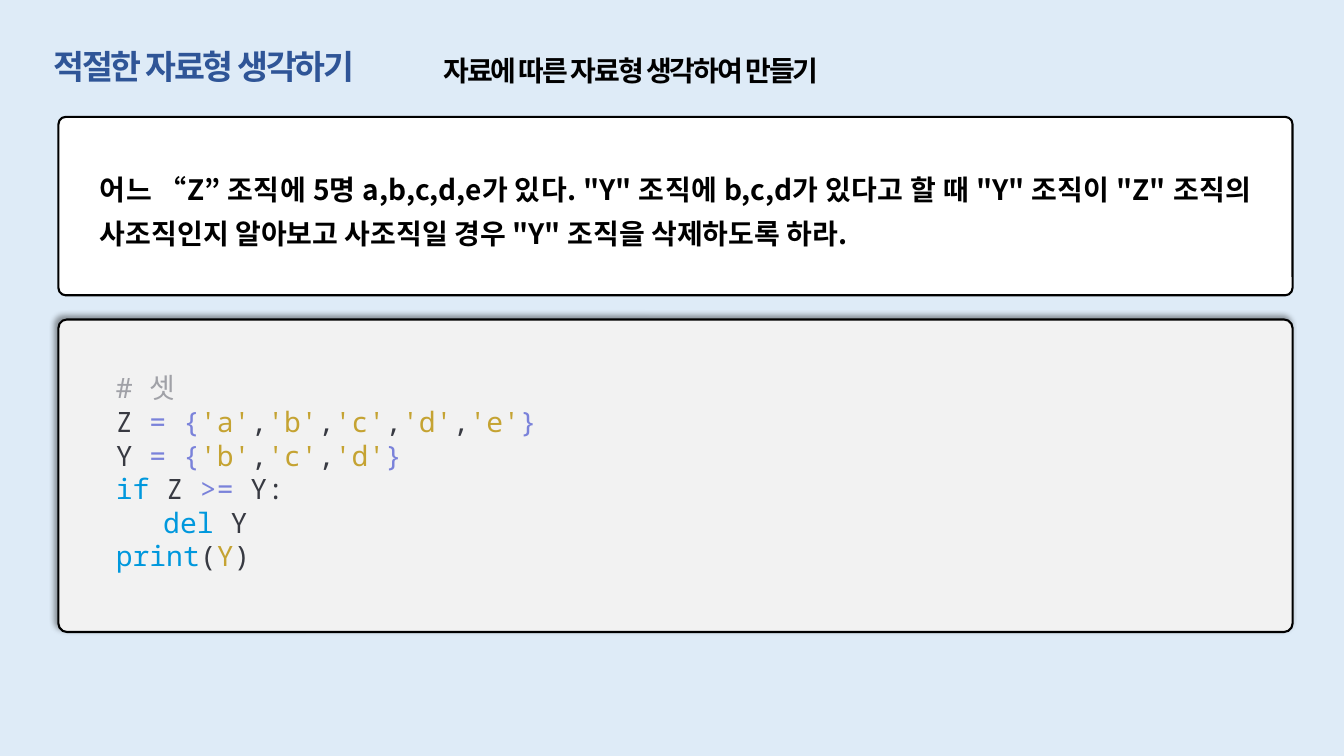
from lxml.etree import SubElement
from pptx import Presentation
from pptx.dml.color import RGBColor
from pptx.enum.shapes import MSO_SHAPE
from pptx.enum.text import MSO_ANCHOR, PP_ALIGN
from pptx.oxml.ns import qn
from pptx.util import Inches, Pt

SKY = RGBColor(0xDE, 0xEB, 0xF7)
NAVY = RGBColor(0x2F, 0x55, 0x97)
BLACK = RGBColor(0, 0, 0)
WHITE = RGBColor(0xFF, 0xFF, 0xFF)
PANEL_GRAY = RGBColor(0xF2, 0xF2, 0xF2)
COMMENT = RGBColor(0xA0, 0xA1, 0xA7)
PLAIN = RGBColor(0x38, 0x3A, 0x42)
SYMBOL = RGBColor(0x7A, 0x82, 0xDA)
STRING = RGBColor(0xC5, 0xA3, 0x32)
KEYWORD = RGBColor(0x00, 0x98, 0xDD)

KOREAN_FONT = "Noto Sans CJK KR"
CODE_FONT = "Noto Sans Mono"
PANEL_LEFT, PANEL_WIDTH = 0.58, 12.24
QUESTION = (
    '어느 “Z” 조직에 5명 a,b,c,d,e가 있다. "Y" 조직에 b,c,d가 있다고 할 때 '
    '"Y" 조직이 "Z" 조직의 사조직인지 알아보고 사조직일 경우 "Y" 조직을 삭제하도록 하라.'
)


def add_run(paragraph, text, size, font_name, color, bold=False, spacing=None):
    run = paragraph.add_run()
    run.text = text
    run.font.size = Pt(size)
    run.font.name = font_name
    run.font.bold = bold
    run.font.color.rgb = color
    properties = run.font._element
    SubElement(properties, qn("a:ea"), typeface=font_name)
    if spacing is not None:
        properties.set("spc", str(round(spacing * 100)))


def add_box(slide, kind, left, top, width, height, fill):
    shape = slide.shapes.add_shape(
        kind, Inches(left), Inches(top), Inches(width), Inches(height)
    )
    shape.shadow.inherit = False
    shape.fill.solid()
    shape.fill.fore_color.rgb = fill
    shape.line.fill.background()
    return shape


def add_panel(slide, top, height, fill, rounding):
    panel = add_box(
        slide, MSO_SHAPE.ROUNDED_RECTANGLE, PANEL_LEFT, top, PANEL_WIDTH, height, fill
    )
    panel.adjustments[0] = rounding
    panel.line.color.rgb = BLACK
    panel.line.width = Pt(1.5)
    return panel


def add_shadow(shape):
    effects = shape._element.spPr.find(qn("a:effectLst"))
    shadow = SubElement(
        effects, qn("a:outerShdw"), blurRad=str(Pt(4)), dist=str(Pt(3)),
        dir=str(225 * 60000), algn="br", rotWithShape="0",
    )
    color = SubElement(shadow, qn("a:srgbClr"), val=str(BLACK))
    SubElement(color, qn("a:alpha"), val="40000")


def add_text_box(slide, left, top, width, height, wrap):
    box = slide.shapes.add_textbox(
        Inches(left), Inches(top), Inches(width), Inches(height)
    )
    box.text_frame.word_wrap = wrap
    return box.text_frame


def add_title(slide):
    title = add_box(slide, MSO_SHAPE.RECTANGLE, 0, 0.41, 13.33, 0.5, SKY)
    frame = title.text_frame
    frame.margin_left = Inches(0.53)
    frame.vertical_anchor = MSO_ANCHOR.TOP
    paragraph = frame.paragraphs[0]
    paragraph.alignment = PP_ALIGN.LEFT
    add_run(paragraph, "적절한 자료형 생각하기", 24, KOREAN_FONT, NAVY, True, -1.5)


def add_subtitle(slide):
    frame = add_text_box(slide, 4.3, 0.48, 4.4, 0.44, False)
    add_run(frame.paragraphs[0], "자료에 따른 자료형 생각하여 만들기",
            20, KOREAN_FONT, BLACK, True, -1.5)


def add_question(slide):
    frame = add_panel(slide, 1.16, 1.77, WHITE, 0.041).text_frame
    frame.word_wrap = True
    frame.margin_left = frame.margin_right = Inches(0.39)
    frame.vertical_anchor = MSO_ANCHOR.MIDDLE
    paragraph = frame.paragraphs[0]
    paragraph.alignment = PP_ALIGN.JUSTIFY
    paragraph.line_spacing = 1.3
    add_run(paragraph, QUESTION, 20, KOREAN_FONT, BLACK, True)


def set_line(name, members):
    tokens = [(f"{name} ", PLAIN), ("= {", SYMBOL)]
    for index, member in enumerate(members):
        if index:
            tokens.append((",", PLAIN))
        tokens.append((f"'{member}'", STRING))
    return tokens + [("}", SYMBOL)]


def add_code(slide):
    add_shadow(add_panel(slide, 3.17, 3.1, PANEL_GRAY, 0.027))
    lines = [
        [("# 셋", COMMENT)],
        set_line("Z", "abcde"),
        set_line("Y", "bcd"),
        [("if", KEYWORD), (" Z ", PLAIN), (">=", SYMBOL), (" Y:", PLAIN)],
        [("\tdel", KEYWORD), (" Y", PLAIN)],
        [("print", KEYWORD), ("(", PLAIN), ("Y", STRING), (")", PLAIN)],
    ]
    frame = add_text_box(slide, 1.05, 3.63, 8.52, 2.12, True)
    for index, tokens in enumerate(lines):
        paragraph = frame.add_paragraph() if index else frame.paragraphs[0]
        tabs = SubElement(paragraph._p.get_or_add_pPr(), qn("a:tabLst"))
        SubElement(tabs, qn("a:tab"), pos=str(Inches(0.47)), algn="l")
        for text, color in tokens:
            add_run(paragraph, text, 20, CODE_FONT, color)


def main():
    presentation = Presentation()
    presentation.slide_width = Inches(13.33)
    presentation.slide_height = Inches(7.5)
    slide = presentation.slides.add_slide(presentation.slide_layouts[6])
    slide.background.fill.solid()
    slide.background.fill.fore_color.rgb = SKY
    add_title(slide)
    add_subtitle(slide)
    add_question(slide)
    add_code(slide)
    presentation.save("out.pptx")


if __name__ == "__main__":
    main()
